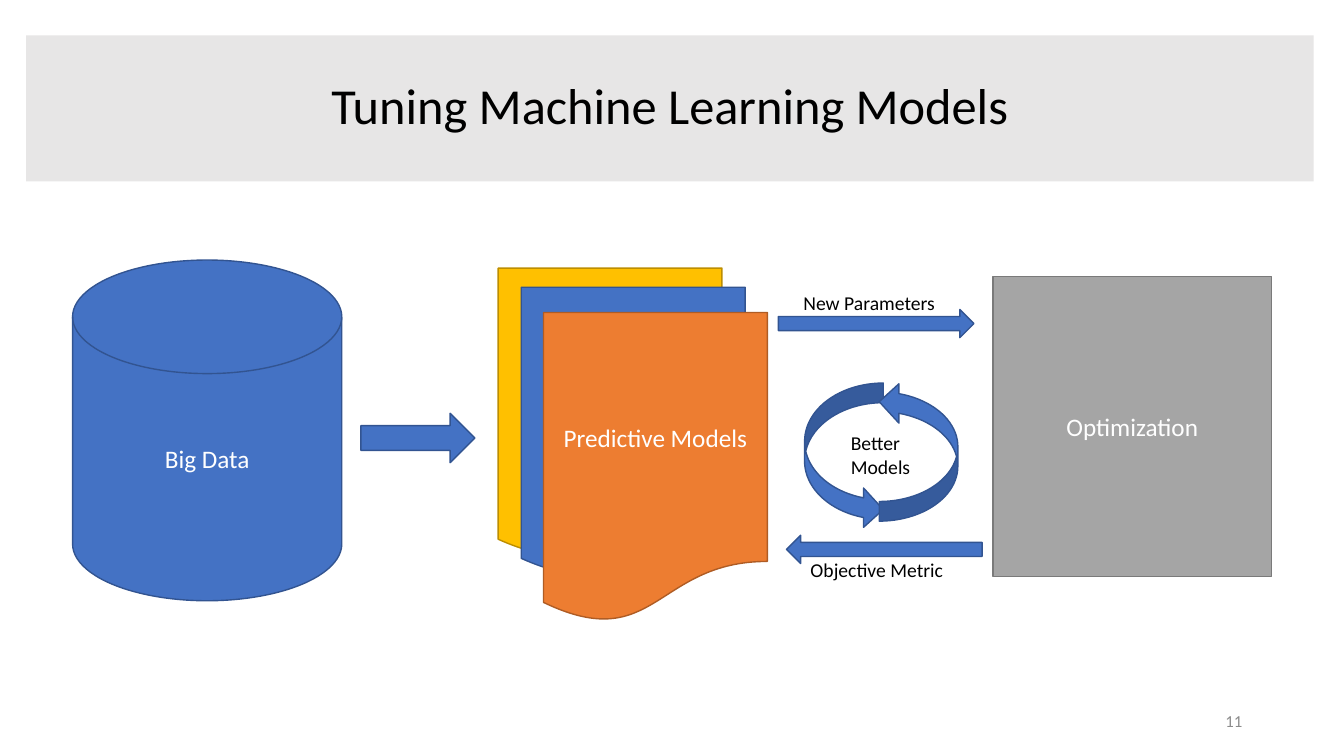
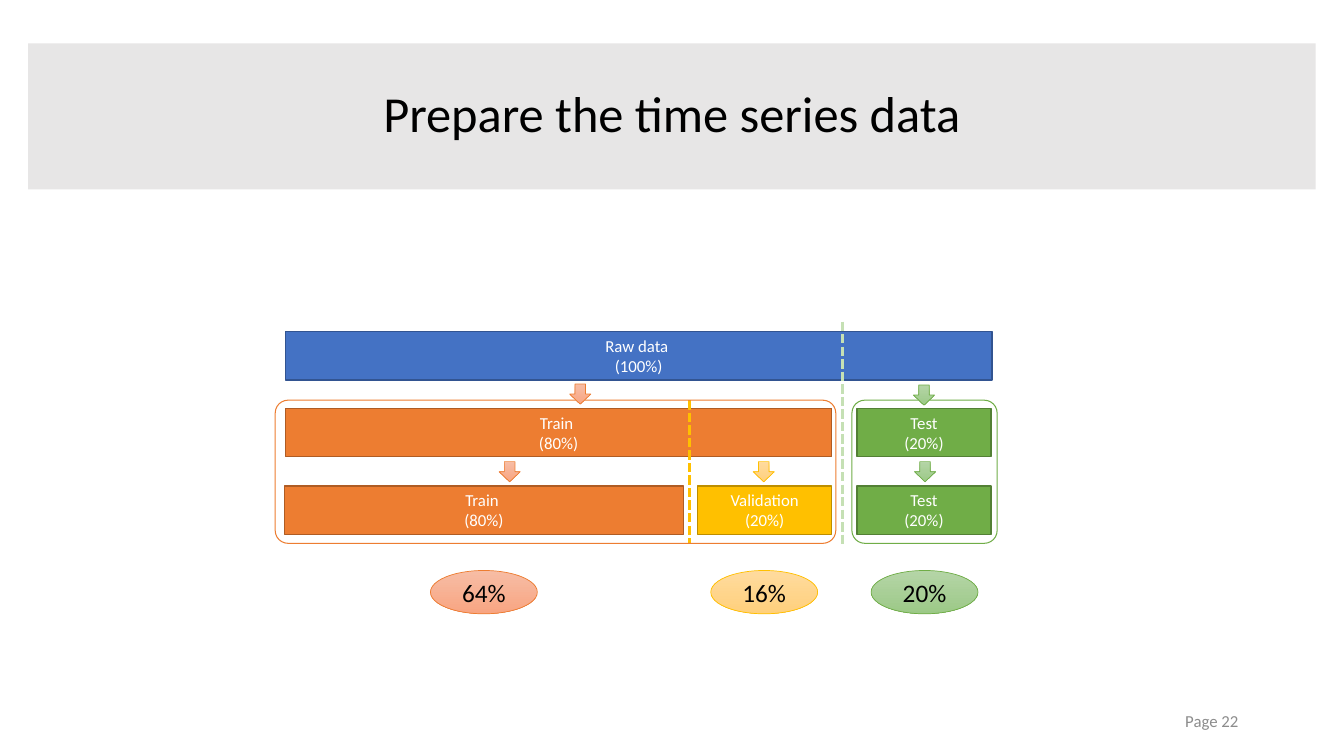
"""Build two slides on tuning models and splitting time series data."""
from dataclasses import dataclass

from lxml.etree import SubElement
from pptx import Presentation
from pptx.dml.color import RGBColor as Rgb
from pptx.enum.dml import MSO_LINE
from pptx.enum.shapes import MSO_CONNECTOR, MSO_SHAPE as Kind
from pptx.enum.text import MSO_ANCHOR as Anchor, MSO_AUTO_SIZE as Fit, PP_ALIGN as Align
from pptx.oxml.ns import qn
from pptx.slide import Slide
from pptx.text.text import TextFrame
from pptx.util import Inches, Pt

FONT = "Calibri"
HEX = {
    "black": "000000", "white": "FFFFFF", "band": "E7E6E6", "foot": "8C8C8C",
    "mint": "C5E0B4",
    "blue": "4472C4", "blue edge": "325491",
    "gray": "A5A5A5", "gray edge": "7A7A7A",
    "orange": "ED7D31", "orange edge": "AF5C24",
    "orange top": "F7BDA5", "orange low": "F8A582",
    "gold": "FFC000", "gold edge": "BD8E00",
    "gold top": "FFDB9E", "gold low": "FFD07C",
    "green": "70AD47", "green edge": "538035",
    "green top": "B5D5A7", "green low": "9CC987",
}
Box = tuple[float, float, float, float]


@dataclass
class Part:
    kind: Kind
    at: Box
    tone: str
    text: str = ""
    size: int = 18
    style: str = "solid"
    turn: int = 0


@dataclass
class Note:
    at: Box
    text: str
    size: int = 14
    ink: str = "black"
    align: Align = Align.LEFT
    anchor: Anchor = Anchor.TOP


@dataclass
class Dash:
    x: float
    top: float
    end: float
    tone: str


def tint(name: str) -> Rgb:
    return Rgb.from_string(HEX[name])


def write(frame: TextFrame, text: str, size: int, ink: str, align: Align, anchor: Anchor) -> None:
    frame.text = text
    frame.word_wrap = True
    frame.vertical_anchor = anchor
    for line in frame.paragraphs:
        line.alignment = align
        line.font.name = FONT
        line.font.size = Pt(size)
        line.font.color.rgb = tint(ink)


def draw_part(slide: Slide, part: Part) -> None:
    shape = slide.shapes.add_shape(part.kind, *map(Inches, part.at))
    shape.shadow.inherit = False
    shape.rotation = part.turn
    soft = part.style == "soft"
    if soft:
        shape.fill.gradient()
        shape.fill.gradient_angle = 270
        for stop, end in zip(shape.fill.gradient_stops, ("top", "low")):
            stop.color.rgb = tint(f"{part.tone} {end}")
    elif part.style == "frame":
        shape.fill.background()
        shape.adjustments[0] = 0.09
    else:
        shape.fill.solid()
        shape.fill.fore_color.rgb = tint(part.tone)
    solid = part.style == "solid"
    shape.line.color.rgb = tint(f"{part.tone} edge" if solid else part.tone)
    shape.line.width = Pt({"solid": 1, "soft": 0.5, "frame": 0.75}[part.style])
    if part.text:
        ink = "black" if soft else "white"
        write(shape.text_frame, part.text, part.size, ink, Align.CENTER, Anchor.MIDDLE)


def draw_note(slide: Slide, note: Note) -> None:
    box = slide.shapes.add_textbox(*map(Inches, note.at))
    write(box.text_frame, note.text, note.size, note.ink, note.align, note.anchor)


def draw_dash(slide: Slide, dash: Dash) -> None:
    ends = map(Inches, (dash.x, dash.top, dash.x, dash.end))
    line = slide.shapes.add_connector(MSO_CONNECTOR.STRAIGHT, *ends)
    line.line.color.rgb = tint(dash.tone)
    line.line.width = Pt(2.25)
    line.line.dash_style = MSO_LINE.SQUARE_DOT
    SubElement(line._element.spPr, qn("a:effectLst"))


def add_page(deck: Presentation, title: str, left: float, top: float, foot: str,
             items: list[Part | Note | Dash]) -> None:
    slide = deck.slides.add_slide(deck.slide_layouts[5])
    band = slide.shapes.title
    band.left, band.top, band.width, band.height = map(Inches, (left, top, 12.77, 1.45))
    band.fill.solid()
    band.fill.fore_color.rgb = tint("band")
    write(band.text_frame, title, 36, "black", Align.CENTER, Anchor.MIDDLE)
    band.text_frame.auto_size = Fit.NONE
    band.text_frame.paragraphs[0].line_spacing = 0.9
    tools = {Part: draw_part, Note: draw_note, Dash: draw_dash}
    page = Note((9.42, 6.95, 3, 0.4), foot, 12, "foot", Align.RIGHT, Anchor.MIDDLE)
    for item in [*items, page]:
        tools[type(item)](slide, item)


def tuning() -> list[Part | Note | Dash]:
    sheet, arrow, curve = Kind.FLOWCHART_DOCUMENT, Kind.RIGHT_ARROW, Kind.CURVED_RIGHT_ARROW
    return [
        Part(Kind.FLOWCHART_MAGNETIC_DISK, (0.72, 2.58, 2.67, 3.38), "blue", "Big Data"),
        Part(sheet, (4.94, 2.66, 2.22, 2.88), "gold"),
        Part(sheet, (5.17, 2.85, 2.22, 2.88), "blue"),
        Part(sheet, (5.39, 3.1, 2.22, 3.08), "orange", "Predictive Models"),
        Part(arrow, (3.58, 4.1, 1.13, 0.49), "blue"),
        Part(Kind.RECTANGLE, (9.85, 2.74, 2.76, 2.98), "gray", "Optimization"),
        Part(arrow, (7.72, 3.07, 1.94, 0.28), "blue"),
        Part(arrow, (7.8, 5.31, 1.94, 0.28), "blue", turn=180),
        Note((7.87, 2.84, 1.63, 0.34), "New Parameters"),
        Note((7.94, 5.49, 1.56, 0.34), "Objective Metric"),
        Note((8.34, 4.23, 0.92, 0.57), "Better Models"),
        Part(curve, (7.98, 3.8, 0.78, 1.45), "blue"),
        Part(curve, (8.72, 3.79, 0.78, 1.38), "blue", turn=180),
    ]


def split() -> list[Part | Note | Dash]:
    raw, first, second = 3.29, 4.05, 4.82
    bars = [
        (2.83, raw, 7.01, "blue", "Raw data \n(100%)"),
        (2.83, first, 5.42, "orange", "Train \n(80%)"),
        (8.5, first, 1.33, "green", "Test\n(20%)"),
        (2.82, second, 3.96, "orange", "Train \n(80%)"),
        (6.92, second, 1.33, "gold", "Validation\n(20%)"),
        (8.5, second, 1.33, "green", "Test\n(20%)"),
    ]
    drops = [
        (5.65, 3.81, "orange"), (9.06, 3.82, "green"),
        (4.95, 4.58, "orange"), (7.47, 4.58, "gold"), (9.07, 4.58, "green"),
    ]
    frames = [(2.73, 5.56, "orange"), (8.45, 1.44, "green")]
    shares = [(4.27, "orange", "64%"), (7.05, "gold", "16%"), (8.64, "green", "20%")]
    return [
        *(Part(Kind.RECTANGLE, (x, y, wide, 0.48), tone, text, 12)
          for x, y, wide, tone, text in bars),
        Dash(8.36, 3.19, 5.4, "mint"),
        Dash(6.84, 3.97, 5.4, "gold"),
        *(Part(Kind.ROUNDED_RECTANGLE, (x, 3.97, wide, 1.42), tone, style="frame")
          for x, wide, tone in frames),
        *(Part(Kind.DOWN_ARROW, (x, y, 0.21, 0.2), tone, style="soft")
          for x, y, tone in drops),
        *(Part(Kind.OVAL, (x, 5.66, 1.06, 0.43), tone, text, style="soft")
          for x, tone, text in shares),
    ]


def main() -> None:
    deck = Presentation()
    deck.slide_width, deck.slide_height = Inches(13.33), Inches(7.5)
    add_page(deck, "Tuning Machine Learning Models", 0.26, 0.35, "11", tuning())
    add_page(deck, "Prepare the time series data", 0.28, 0.43, "Page 22 ", split())
    deck.save("out.pptx")


if __name__ == "__main__":
    main()
